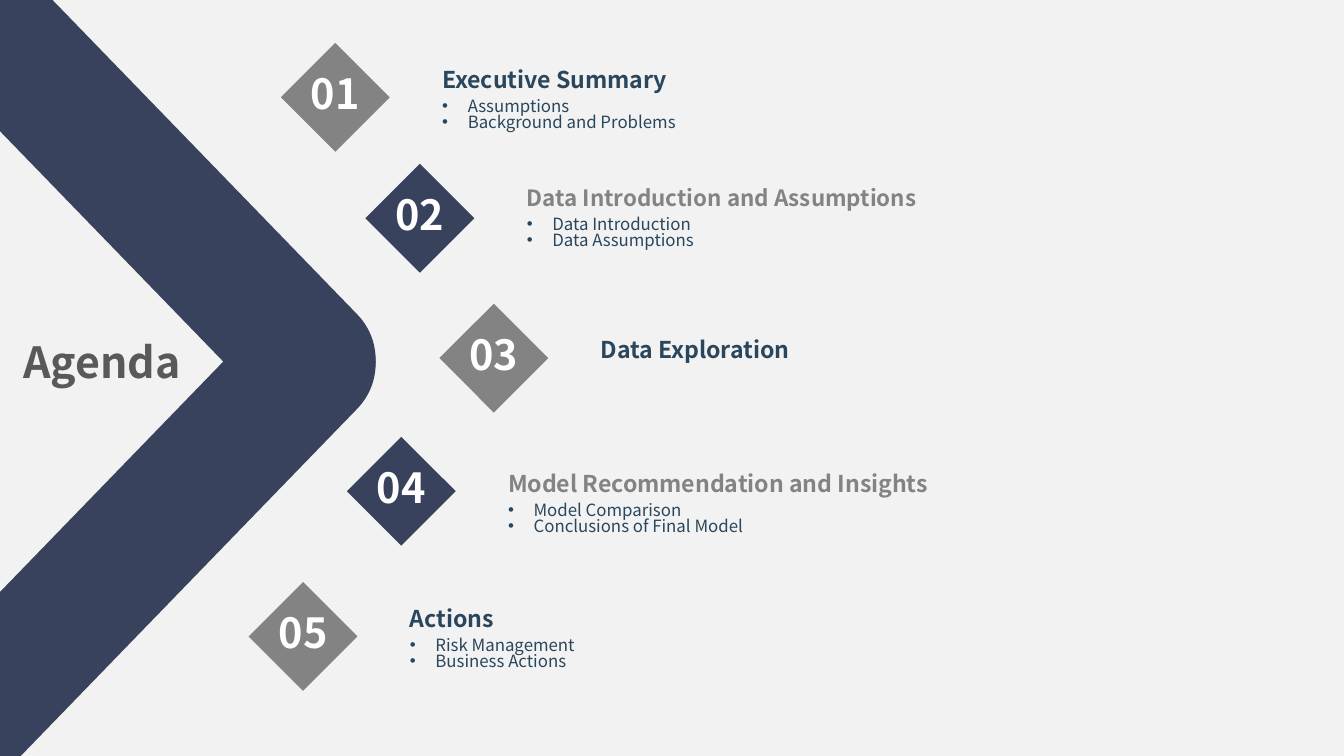
from lxml import etree
from pptx import Presentation
from pptx.dml.color import RGBColor
from pptx.enum.shapes import MSO_SHAPE
from pptx.enum.text import MSO_ANCHOR, MSO_AUTO_SIZE, PP_ALIGN
from pptx.oxml.ns import qn
from pptx.util import Pt

DIAMOND, ROUNDED = MSO_SHAPE.DIAMOND, MSO_SHAPE.ROUNDED_RECTANGLE
LEFT, CENTER = PP_ALIGN.LEFT, PP_ALIGN.CENTER
TOP, MIDDLE, BOTTOM = MSO_ANCHOR.TOP, MSO_ANCHOR.MIDDLE, MSO_ANCHOR.BOTTOM
NO_FIT = MSO_AUTO_SIZE.NONE

FONT = "Noto Sans CJK SC"
COLORS = {
    "background": "F2F2F2",
    "navy": "39425D",
    "gray": "838383",
    "ink": "2A465C",
    "title": "595959",
    "white": "FFFFFF",
}

COMPARISON_LAYOUT = 4  # a title and four content placeholders
DIAMOND_SIZE = 58.3
TEXT_WIDTH = 200
TEXT_INSET = 28.1
HEADING_HEIGHT = 12.2
LIST_HEIGHT = 24.4
BULLET_INDENT = 13.7

# diamond left, diamond top, heading top, heading size, heading spacing, heading, points
SECTIONS = [
    (150.5, 23, 37.4, 12.4, 0.8, "Executive Summary",
     ["Assumptions", "Background and Problems"]),
    (195.8, 87.8, 100.8, 12, 1, "Data Introduction and Assumptions",
     ["Data Introduction", "Data Assumptions"]),
    (235.4, 162.7, 182.2, 12.4, 0.8, "Data Exploration", []),
    (185.8, 234, 254.2, 12.4, 0.8, "Model Recommendation and Insights",
     ["Model Comparison", "Conclusions of Final Model"]),
    (133.2, 311.8, 326.2, 12.4, 0.8, "Actions",
     ["Risk Management", "Business Actions"]),
]


def rgb(name):
    return RGBColor.from_string(COLORS[name])


def place(element, left, top, width, height):
    element.left, element.top = Pt(left), Pt(top)
    element.width, element.height = Pt(width), Pt(height)


def add_bullet(paragraph):
    properties = paragraph._p.get_or_add_pPr()
    properties.set("marL", str(Pt(BULLET_INDENT)))
    properties.set("indent", str(-Pt(BULLET_INDENT)))
    etree.SubElement(properties, qn("a:buFont")).set("typeface", "Arial")
    etree.SubElement(properties, qn("a:buChar")).set("char", "•")


def write(holder, *lines, size, color, bold=False, align=LEFT, anchor=TOP,
          spacing=1.0, inset=0, wrap=True, bullets=False):
    """Fill a shape with one paragraph per line, all in the same format."""
    frame = holder.text_frame
    frame.auto_size = NO_FIT
    frame.word_wrap = wrap
    frame.vertical_anchor = anchor
    frame.margin_left = Pt(inset)
    frame.margin_right = frame.margin_top = frame.margin_bottom = 0
    frame.text = "\n".join(lines)
    for paragraph in frame.paragraphs:
        if bullets:
            add_bullet(paragraph)
        paragraph.alignment = align
        paragraph.line_spacing = spacing
        paragraph.space_before = paragraph.space_after = Pt(0)
        font = paragraph.font
        font.name, font.size, font.bold = FONT, Pt(size), bold
        font.color.rgb = rgb(color)


def add_solid(slide, kind, left, top, width, height, color):
    solid = slide.shapes.add_shape(kind, Pt(left), Pt(top), Pt(width), Pt(height))
    solid.shadow.inherit = False
    solid.fill.solid()
    solid.fill.fore_color.rgb = rgb(color)
    solid.line.fill.background()
    return solid


def add_chevron(slide):
    """Two tilted bars that meet in a rounded tip."""
    for top, angle in ((-4.3, 45.9), (322.6, -45.9)):
        bar = add_solid(slide, ROUNDED, -251.3, top, 521.3, 69.1, "navy")
        bar.adjustments[0] = 0.5
        bar.rotation = angle


def add_number(slide, number, left, top, color):
    diamond = add_solid(slide, DIAMOND, left, top, DIAMOND_SIZE, DIAMOND_SIZE, color)
    write(diamond, f"{number:02d}", size=22.2, color="white", bold=True,
          align=CENTER, anchor=MIDDLE, spacing=0.8, wrap=False)


def add_heading(slide, heading, left, top, size, spacing, color):
    box = slide.shapes.add_textbox(Pt(left), Pt(top), Pt(TEXT_WIDTH), Pt(HEADING_HEIGHT))
    write(box, heading, size=size, color=color, bold=True, anchor=BOTTOM,
          spacing=spacing, inset=TEXT_INSET, wrap=False)


def fill_list(holder, points, left, top):
    place(holder, left, top, TEXT_WIDTH, LIST_HEIGHT)
    write(holder, *points, size=9, color="ink", anchor=MIDDLE, spacing=0.8,
          inset=TEXT_INSET, bullets=True)


def main():
    deck = Presentation()
    deck.slide_width, deck.slide_height = Pt(720), Pt(405)
    slide = deck.slides.add_slide(deck.slide_layouts[COMPARISON_LAYOUT])
    slide.background.fill.solid()
    slide.background.fill.fore_color.rgb = rgb("background")

    title, *list_holders = slide.placeholders
    add_chevron(slide)
    place(title, 9.4, 180, 90.7, 22.3)
    write(title, "Agenda", size=23, color="title", bold=True, align=CENTER)

    free_holders = iter(list_holders)
    for number, section in enumerate(SECTIONS, start=1):
        left, top, heading_top, size, spacing, heading, points = section
        diamond_color, heading_color = ("gray", "ink") if number % 2 else ("navy", "gray")
        text_left = left + DIAMOND_SIZE
        add_number(slide, number, left, top, diamond_color)
        add_heading(slide, heading, text_left, heading_top, size, spacing, heading_color)
        if points:
            fill_list(next(free_holders), points, text_left, heading_top + HEADING_HEIGHT)

    deck.save("out.pptx")


if __name__ == "__main__":
    main()
